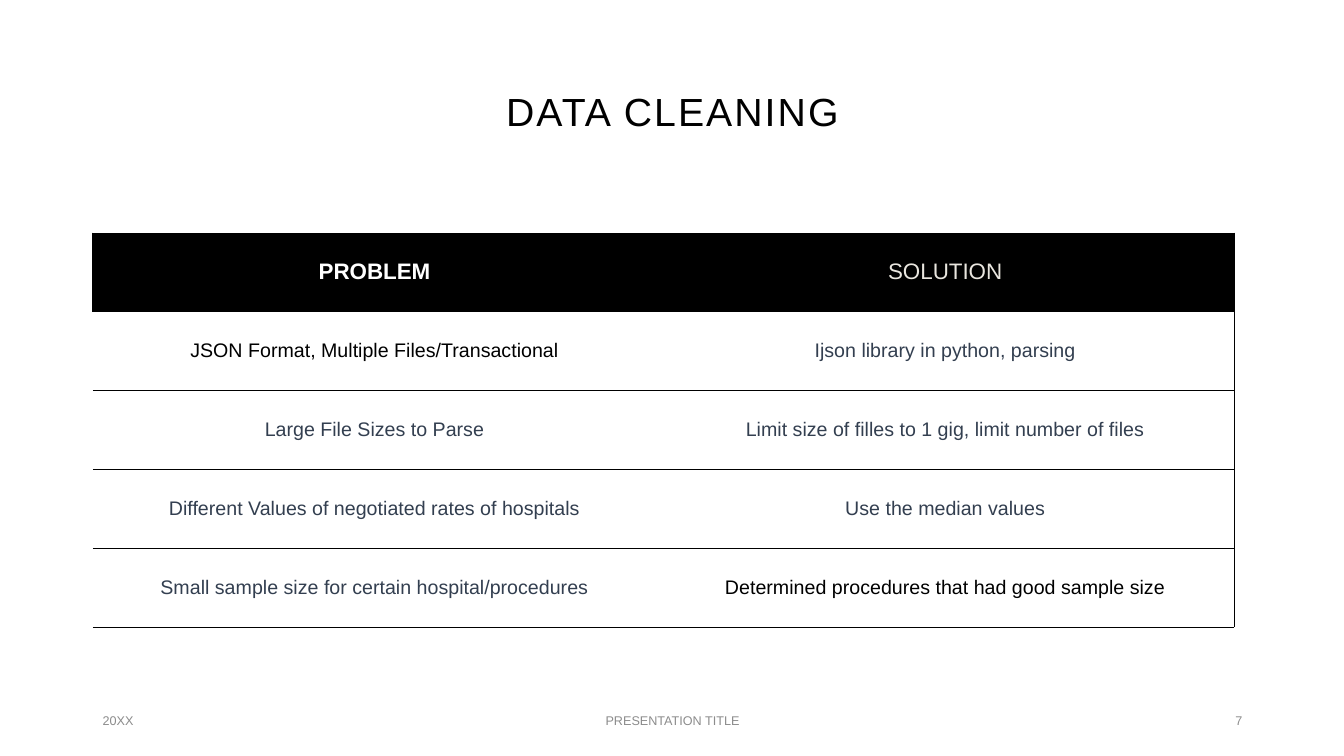
import pptx
import pptx.dml.color
import pptx.enum.text
import pptx.oxml
import pptx.oxml.ns
import pptx.util

Inches = pptx.util.Inches
Align = pptx.enum.text.PP_ALIGN
Anchor = pptx.enum.text.MSO_ANCHOR

BLACK, SLATE, GREY = "000000", "333F50", "8C8C8C"
FONT = "Arial"
TITLE = ("DATA CLEANING", (0.92, 0.4, 11.5, 1.45), 28, BLACK, Align.CENTER)
FOOTERS = [
    ("20XX", (0.92, 6.95, 3, 0.4), 9, GREY, Align.LEFT),
    ("PRESENTATION TITLE", (4.42, 6.95, 4.5, 0.4), 9, GREY, Align.CENTER),
    ("7", (9.42, 6.95, 3, 0.4), 9, GREY, Align.RIGHT),
]
ROWS = [
    [("PROBLEM", "FFFFFF"), ("SOLUTION", "E9E6DF")],
    [("JSON Format, Multiple Files/Transactional", BLACK),
     ("Ijson library in python, parsing", SLATE)],
    [("Large File Sizes to Parse", SLATE),
     ("Limit size of filles to 1 gig, limit number of files", SLATE)],
    [("Different Values of negotiated rates of hospitals", SLATE),
     ("Use the median values", SLATE)],
    [("Small sample size for certain hospital/procedures", SLATE),
     ("Determined procedures that had good sample size", BLACK)],
]
TABLE_LEFT, TABLE_TOP, TABLE_HEIGHT = 0.92, 2.31, 3.91
COLUMN_WIDTHS = [5.59, 5.73]
BORDER_WIDTH = 0.5


def color(hex_value):
    return pptx.dml.color.RGBColor.from_string(hex_value)


def write(frame, text, size, hex_value, align, bold=False):
    paragraph = frame.paragraphs[0]
    paragraph.alignment = align
    run = paragraph.add_run()
    run.text = text
    formats = {"name": FONT, "size": pptx.util.Pt(size), "bold": bold}
    for name, value in formats.items():
        setattr(run.font, name, value)
    run.font.color.rgb = color(hex_value)
    return paragraph, run


def add_text(slide, text, box, size, hex_value, align):
    frame = slide.shapes.add_textbox(*map(Inches, box)).text_frame
    frame.word_wrap = True
    frame.vertical_anchor = Anchor.MIDDLE
    return write(frame, text, size, hex_value, align)


def set_borders(cell, visible_sides):
    properties = cell._tc.get_or_add_tcPr()
    for side in "LRTB":
        if side in visible_sides:
            paint = f'<a:solidFill><a:srgbClr val="{BLACK}"/></a:solidFill>'
        else:
            paint = "<a:noFill/>"
        width = pptx.util.Pt(BORDER_WIDTH)
        properties.append(pptx.oxml.parse_xml(
            f'<a:ln{side} {pptx.oxml.ns.nsdecls("a")} w="{width}">{paint}</a:ln{side}>'))


def add_table(slide):
    table = slide.shapes.add_table(
        len(ROWS), len(COLUMN_WIDTHS), Inches(TABLE_LEFT), Inches(TABLE_TOP),
        Inches(sum(COLUMN_WIDTHS)), Inches(TABLE_HEIGHT)).table
    table.first_row = False
    table.horz_banding = False
    for column, width in zip(table.columns, COLUMN_WIDTHS):
        column.width = Inches(width)
    for row_index, row in enumerate(ROWS):
        header = row_index == 0
        table.rows[row_index].height = Inches(TABLE_HEIGHT / len(ROWS))
        for column_index, (text, hex_value) in enumerate(row):
            first = column_index == 0
            cell = table.cell(row_index, column_index)
            cell.vertical_anchor = Anchor.MIDDLE
            write(cell.text_frame, text, 16 if header else 14, hex_value,
                  Align.CENTER, bold=header and first)
            outer_side = ("L" if header else "") if first else "R"
            set_borders(cell, "TB" + outer_side)
            if header:
                cell.fill.solid()
                cell.fill.fore_color.rgb = color(BLACK)
            else:
                cell.fill.background()


def main():
    presentation = pptx.Presentation()
    presentation.slide_width = Inches(13.33)
    presentation.slide_height = Inches(7.5)
    slide = presentation.slides.add_slide(presentation.slide_layouts[6])
    paragraph, run = add_text(slide, *TITLE)
    paragraph.line_spacing = 0.9
    run.font._element.set("spc", "150")
    add_table(slide)
    for footer in FOOTERS:
        add_text(slide, *footer)
    presentation.save("out.pptx")


if __name__ == "__main__":
    main()
